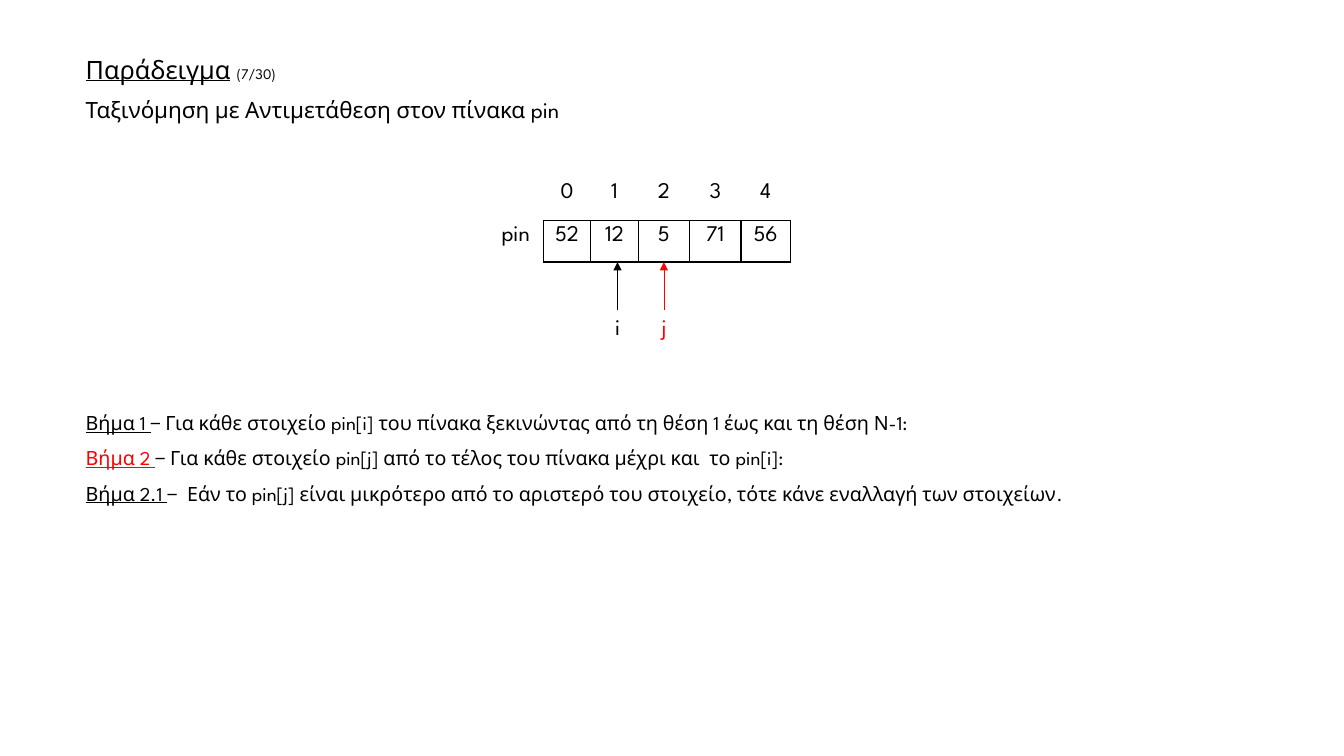
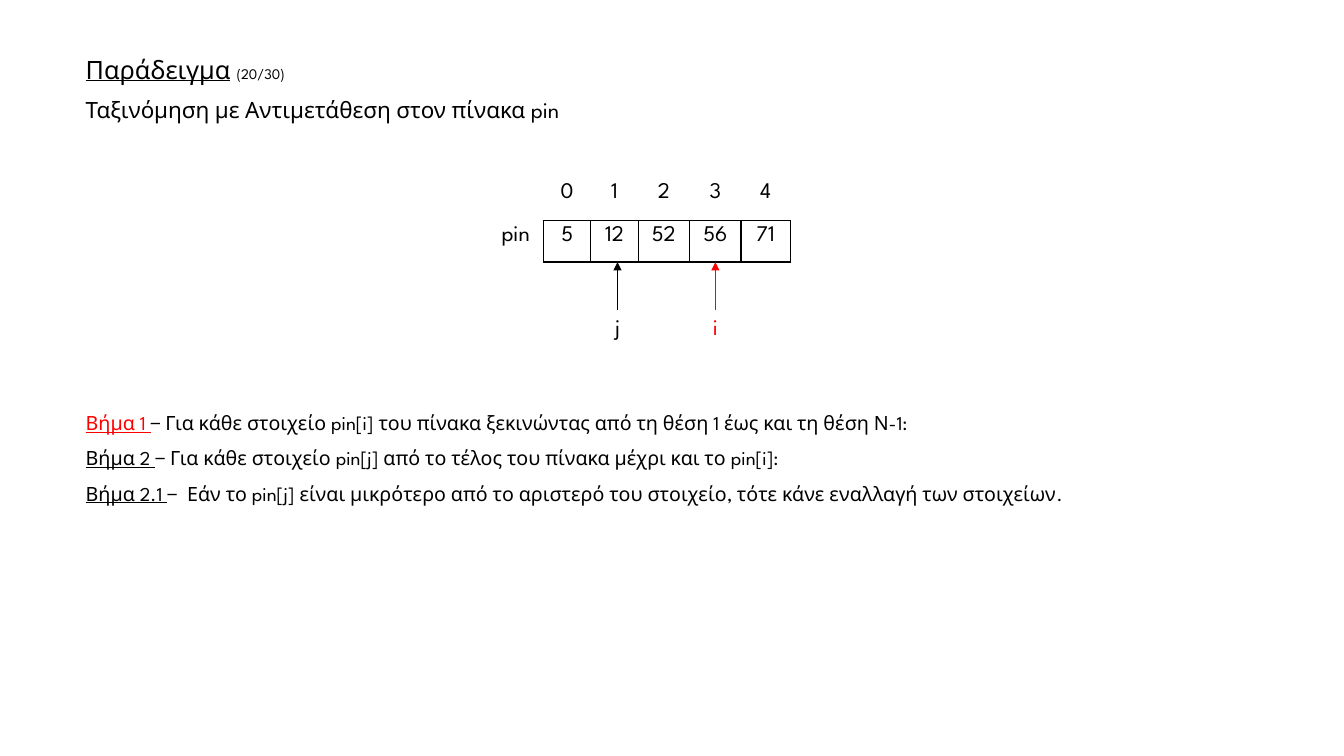
from dataclasses import dataclass
from lxml import etree
from pptx import Presentation
from pptx.dml.color import RGBColor
from pptx.enum import shapes, text
from pptx.oxml.ns import qn
from pptx.util import Inches, Pt


@dataclass(frozen=True)
class Theme:
    font: str = "League Spartan"
    ink: str = "000000"
    hot: str = "FF0000"
    head: float = 18
    sub: float = 16
    body: float = 14
    note: float = 10.5
    rule: float = 1
    thin: float = 0.5


THEME = Theme()
COLS = [0.55, 0.47, 0.47, 0.51, 0.51, 0.49]
ROWS = [0.43, 0.41]
NUDGE = {1: 0.03}


def write(frame, paras, size=THEME.sub, color=THEME.ink, align=text.PP_ALIGN.LEFT,
          line=1.0, gap=0, plain=False):
    for n, runs in enumerate(paras):
        para = frame.paragraphs[0] if n == 0 else frame.add_paragraph()
        if plain:
            props = para._p.get_or_add_pPr()
            props.set("marL", "0")
            props.set("indent", "0")
            etree.SubElement(props, qn("a:buNone"))
        para.alignment = align
        para.line_spacing = line
        para.space_before = Pt(gap if n else 0)
        for words, style in runs:
            run = para.add_run()
            run.text = words
            font = run.font
            font.name = THEME.font
            font.size = Pt(style.get("size", size))
            font.color.rgb = RGBColor.from_string(style.get("color", color))
            font.underline = style.get("under", False)


def place(shape, box, fit=text.MSO_AUTO_SIZE.NONE, anchor=text.MSO_ANCHOR.TOP):
    shape.left, shape.top, shape.width, shape.height = map(Inches, box)
    frame = shape.text_frame
    frame.word_wrap = True
    frame.auto_size = fit
    frame.vertical_anchor = anchor
    return frame


def heading(slide, box, count):
    write(place(slide.shapes.title, box), [
        [("Παράδειγμα", {"size": THEME.head, "under": True}),
         (" ", {"size": THEME.head}), (f"({count}/30)", {"size": THEME.note})],
        [("Ταξινόμηση με Αντιμετάθεση στον πίνακα pin", {})],
    ], line=0.9, gap=10)


def steps(slide, box, lines, hot):
    frame = place(slide.placeholders[1], box, text.MSO_AUTO_SIZE.SHAPE_TO_FIT_TEXT)
    paras = [[(label + " ", {"under": True,
                             "color": THEME.hot if n == hot else THEME.ink}),
              (words, {})] for n, (label, words) in enumerate(lines)]
    write(frame, paras, size=THEME.body, line=1.5, plain=True)


def edge(cell, sides):
    props = cell._tc.get_or_add_tcPr()
    for side in "LRTB":
        line = etree.SubElement(props, qn("a:ln" + side), w=str(Pt(THEME.rule)))
        if side in sides:
            fill = etree.SubElement(line, qn("a:solidFill"))
            etree.SubElement(fill, qn("a:srgbClr"), val=THEME.ink)
        else:
            etree.SubElement(line, qn("a:noFill"))
    cell.fill.background()


def grid(slide, left, top, values):
    box = map(Inches, (left, top, sum(COLS), sum(ROWS)))
    table = slide.shapes.add_table(len(ROWS), len(COLS), *box).table
    table.first_row = table.horz_banding = False
    for col, width in zip(table.columns, COLS):
        col.width = Inches(width)
    data = [["", *range(len(values))], ["pin", *values]]
    sides = [("", "B"), ("R", "LRTB")]
    for r, row in enumerate(data):
        table.rows[r].height = Inches(ROWS[r])
        for c, value in enumerate(row):
            cell = table.cell(r, c)
            edge(cell, sides[r][c > 0])
            if value != "":
                write(cell.text_frame, [[(str(value), {})]],
                      align=text.PP_ALIGN.CENTER)


def mark(slide, left, top, name, slot, color):
    mid = left + sum(COLS[:slot + 1]) + COLS[slot + 1] / 2 + NUDGE.get(slot, 0)
    foot = top + sum(ROWS)
    wide, high, rise = 0.24, 0.36, 0.48
    label = slide.shapes.add_textbox(0, 0, 0, 0)
    frame = place(label, (mid - wide / 2, foot + rise, wide, high),
                  anchor=text.MSO_ANCHOR.MIDDLE)
    frame.margin_left = frame.margin_right = 0
    write(frame, [[(name, {})]], color=color, align=text.PP_ALIGN.CENTER, line=0.9)
    arrow = slide.shapes.add_connector(
        shapes.MSO_CONNECTOR.STRAIGHT, Inches(mid), Inches(foot + rise),
        Inches(mid), Inches(foot))
    arrow.begin_connect(label, 0)
    arrow.line.color.rgb = RGBColor.from_string(color)
    arrow.line.width = Pt(THEME.thin)
    etree.SubElement(arrow.line._get_or_add_ln(), qn("a:tailEnd"), type="triangle")
    etree.SubElement(arrow._element.spPr, qn("a:effectLst"))


def example(deck, count, values, marks, hot, until):
    slide = deck.slides.add_slide(deck.slide_layouts[1])
    heading(slide, (0.75, 0.52, 10.79, 0.77), count)
    left, top = 4.84, 1.76
    grid(slide, left, top, values)
    for name, slot, color in marks:
        mark(slide, left, top, name, slot, color)
    steps(slide, (0.75, 3.91, 11.53, 1.12), [
        ("Βήμα 1", "− Για κάθε στοιχείο pin[i] του πίνακα ξεκινώντας από τη θέση 1 "
                   "έως και τη θέση Ν-1:"),
        ("Βήμα 2", "− Για κάθε στοιχείο pin[j] από το τέλος του πίνακα " + until),
        ("Βήμα 2.1", "−  Εάν το pin[j] είναι μικρότερο από το αριστερό του στοιχείο, "
                     "τότε κάνε εναλλαγή των στοιχείων."),
    ], hot)


def main():
    deck = Presentation()
    deck.slide_width, deck.slide_height = Inches(13.33), Inches(7.5)
    example(deck, 7, [52, 12, 5, 71, 56],
            [("i", 1, THEME.ink), ("j", 2, THEME.hot)], 1, "μέχρι και  το pin[i]:")
    example(deck, 20, [5, 12, 52, 56, 71],
            [("i", 3, THEME.hot), ("j", 1, THEME.ink)], 0, "μέχρι και το pin[i]:")
    deck.save("out.pptx")


if __name__ == "__main__":
    main()
